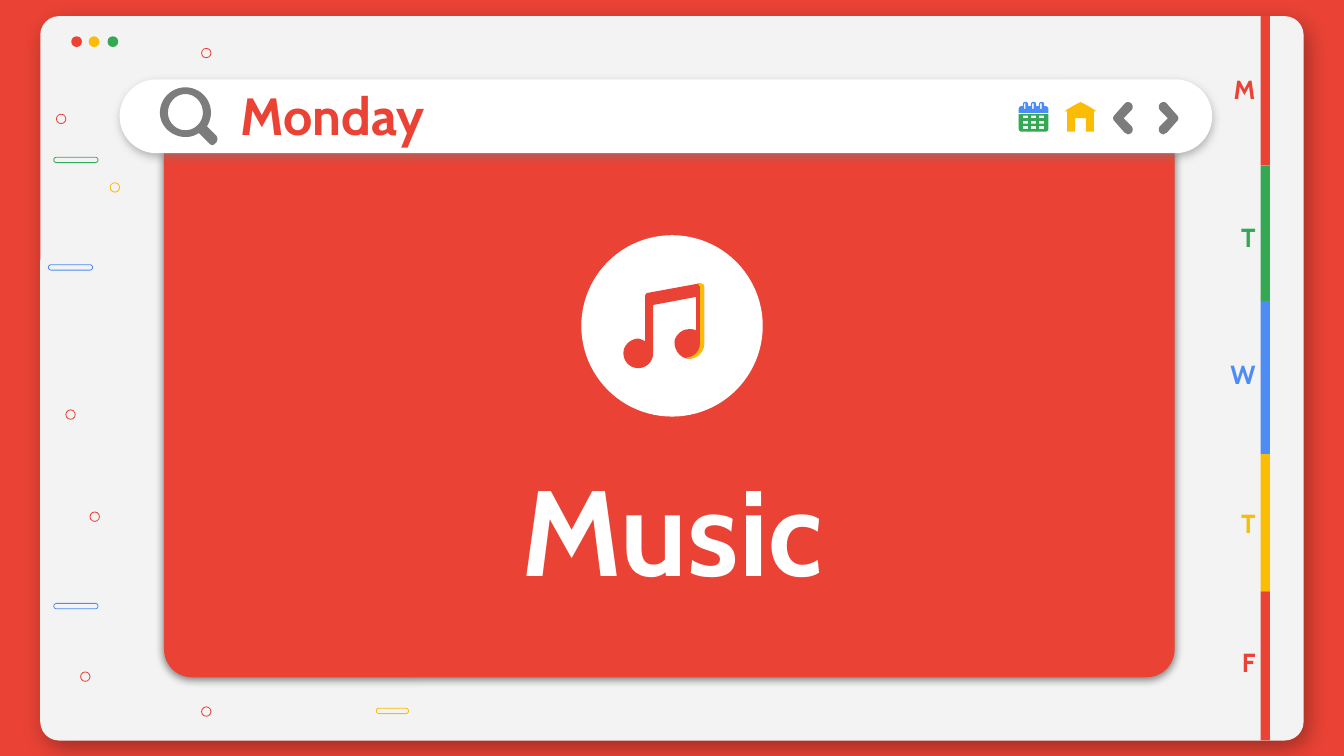
import dataclasses

import pptx
import pptx.dml.color
import pptx.enum.shapes
import pptx.enum.text
import pptx.oxml
import pptx.oxml.ns
import pptx.util

Inches = pptx.util.Inches
Kind = pptx.enum.shapes.MSO_SHAPE
Align = pptx.enum.text.PP_ALIGN


@dataclasses.dataclass(frozen=True)
class Theme:
    red: str = "EA4335"
    green: str = "34A853"
    blue: str = "4D8CF5"
    gold: str = "FBBC05"
    gray: str = "7C7C7C"
    pale: str = "F3F3F3"
    white: str = "FFFFFF"
    black: str = "000000"
    font: str = "Cabin"
    hero: float = 65
    title: float = 28
    tab: float = 14
    hair: float = 0.44


T = Theme()


def rgb(color):
    return pptx.dml.color.RGBColor.from_string(color)


def paint(shape, fill=None, line=None):
    shape.shadow.inherit = False
    if fill:
        shape.fill.solid()
        shape.fill.fore_color.rgb = rgb(fill)
    else:
        shape.fill.background()
    if line:
        shape.line.color.rgb = rgb(line)
        shape.line.width = pptx.util.Pt(T.hair)
    else:
        shape.line.fill.background()


def add_form(slide, kind, box, fill=None, line=None):
    shape = slide.shapes.add_shape(kind, *map(Inches, box))
    paint(shape, fill, line)
    return shape


def add_round(slide, box, radius, fill=None, line=None):
    shape = add_form(slide, Kind.ROUNDED_RECTANGLE, box, fill, line)
    shape.adjustments[0] = radius / min(box[2:])
    return shape


def cast(shape, color, alpha, blur, dist, angle):
    """Add an outer shadow: alpha in percent, lengths in points."""
    xml = (
        f'<a:outerShdw {pptx.oxml.ns.nsdecls("a")} blurRad="{pptx.util.Pt(blur)}" '
        f'dist="{pptx.util.Pt(dist)}" dir="{angle * 60000}" algn="bl" rotWithShape="0">'
        f'<a:srgbClr val="{color}"><a:alpha val="{alpha * 1000}"/></a:srgbClr>'
        "</a:outerShdw>"
    )
    effects = shape._element.spPr.find(pptx.oxml.ns.qn("a:effectLst"))
    effects.append(pptx.oxml.parse_xml(xml))


def add_text(slide, box, text, size, color, align=Align.LEFT):
    frame = slide.shapes.add_textbox(*map(Inches, box)).text_frame
    frame.word_wrap = True
    frame.vertical_anchor = pptx.enum.text.MSO_ANCHOR.MIDDLE
    frame.margin_left = frame.margin_right = Inches(0.1)
    frame.margin_top = frame.margin_bottom = Inches(0.1)
    para = frame.paragraphs[0]
    para.alignment = align
    run = para.add_run()
    run.text = text
    run.font.name = T.font
    run.font.size = pptx.util.Pt(size)
    run.font.bold = True
    run.font.color.rgb = rgb(color)


def trace(steps, count=12):
    """Turn points (x, y) and cubic curves (six numbers) into points."""
    dots = []
    for step in steps:
        if len(step) == 2:
            dots.append(step)
            continue
        ends = [dots[-1], step[:2], step[2:4], step[4:]]
        for i in range(1, count + 1):
            t = i / count
            parts = ((1 - t) ** 3, 3 * t * (1 - t) ** 2, 3 * t * t * (1 - t), t ** 3)
            dots.append(tuple(sum(w * p[k] for w, p in zip(parts, ends)) for k in (0, 1)))
    return [(Inches(x), Inches(y)) for x, y in dots]


def add_path(slide, loops, fill):
    first, *rest = [trace(loop) for loop in loops]
    pen = slide.shapes.build_freeform(*first[0])
    pen.add_line_segments(first[1:])
    for dots in rest:
        pen.move_to(*dots[0])
        pen.add_line_segments(dots[1:])
    paint(pen.convert_to_shape(), fill)


def block(x, y, w, h):
    return [(x, y), (x + w, y), (x + w, y + h), (x, y + h)]


def add_window(slide):
    window = add_round(slide, (0.3, 0.12, 9.4, 5.39), 0.14, T.pale)
    cast(window, T.black, 32, 12.4, 5.2, 57)
    for x, color in ((0.53, T.red), (0.66, T.gold), (0.8, T.green)):
        add_form(slide, Kind.OVAL, (x, 0.27, 0.08, 0.08), color)


def add_decor(slide):
    pills = [(2.8, 5.27, 0.24, T.gold), (0.36, 1.97, 0.33, T.blue),
             (0.4, 4.49, 0.33, T.blue), (0.4, 1.17, 0.33, T.green)]
    for x, y, width, color in pills:
        add_round(slide, (x, y, width, 0.04), 0.02, line=color)
    rings = [(0.67, 3.81, T.red), (0.82, 1.36, T.gold), (0.42, 0.85, T.red), (0.6, 5, T.red),
             (0.49, 3.05, T.red), (1.5, 0.36, T.red), (1.5, 5.26, T.red)]
    for x, y, color in rings:
        add_form(slide, Kind.OVAL, (x, y, 0.07, 0.07), line=color)


def add_lens(slide):
    hole = [(1.38, 0.7), (1.45, 0.7, 1.51, 0.76, 1.51, 0.84), (1.51, 0.91, 1.45, 0.97, 1.38, 0.97),
            (1.31, 0.97, 1.25, 0.91, 1.25, 0.84), (1.25, 0.76, 1.31, 0.7, 1.38, 0.7)]
    rim = [(1.38, 0.65), (1.28, 0.65, 1.19, 0.73, 1.19, 0.84), (1.19, 0.94, 1.28, 1.02, 1.38, 1.02),
           (1.42, 1.02, 1.45, 1.01, 1.48, 0.99), (1.55, 1.06), (1.56, 1.07, 1.57, 1.08, 1.58, 1.08),
           (1.59, 1.08, 1.6, 1.07, 1.61, 1.06), (1.62, 1.05, 1.62, 1.02, 1.61, 1.01), (1.54, 0.94),
           (1.56, 0.91, 1.57, 0.87, 1.57, 0.84), (1.57, 0.73, 1.48, 0.65, 1.38, 0.65)]
    add_path(slide, [rim, hole], T.gray)


def add_note(slide):
    size = 1.35
    add_form(slide, Kind.OVAL, ((10 - size) / 2, 1.75, size, size), T.white)
    note = [(5.2, 2.11), (4.82, 2.18), (4.81, 2.18, 4.8, 2.19, 4.8, 2.21), (4.8, 2.54),
            (4.78, 2.53, 4.76, 2.52, 4.75, 2.52), (4.7, 2.52, 4.65, 2.56, 4.64, 2.61),
            (4.63, 2.68, 4.68, 2.74, 4.75, 2.74), (4.81, 2.74, 4.86, 2.69, 4.86, 2.63),
            (4.86, 2.27), (5.18, 2.21), (5.18, 2.46), (5.16, 2.45, 5.15, 2.45, 5.13, 2.45),
            (5.08, 2.45, 5.04, 2.48, 5.02, 2.53), (5.01, 2.6, 5.06, 2.67, 5.13, 2.67),
            (5.19, 2.66, 5.24, 2.62, 5.24, 2.55), (5.24, 2.14), (5.24, 2.12, 5.23, 2.11, 5.2, 2.11)]
    edge = [(5.19, 2.11), (5.2, 2.12, 5.21, 2.13, 5.21, 2.14), (5.21, 2.55),
            (5.21, 2.61, 5.17, 2.66, 5.11, 2.66), (5.12, 2.67, 5.13, 2.67, 5.13, 2.67),
            (5.19, 2.67, 5.24, 2.62, 5.24, 2.55), (5.24, 2.14), (5.24, 2.12, 5.23, 2.11, 5.21, 2.11)]
    add_path(slide, [note], T.red)
    add_path(slide, [edge], T.gold)


def add_days(slide):
    days = [("M", 0.12, 0.51, T.red), ("T", 1.23, 1.61, T.green), ("W", 2.24, 2.63, T.blue),
            ("T", 3.38, 3.74, T.gold), ("F", 4.4, 4.77, T.red)]
    ends = [day[1] for day in days[1:]] + [5.51]
    for (name, top, y, color), end in zip(days, ends):
        add_form(slide, Kind.RECTANGLE, (9.38, top, 0.07, end - top), color)
        add_text(slide, (8.96, y, 0.48, 0.31), name, T.tab, color, Align.RIGHT)


def add_dates(slide):
    xs = (7.63, 7.69, 7.75)
    # Page with a grid of day cells
    page = [(7.58, 0.85), (7.58, 0.96), (7.58, 0.97, 7.59, 0.98, 7.6, 0.98), (7.78, 0.98),
            (7.79, 0.98, 7.8, 0.97, 7.8, 0.96), (7.8, 0.85)]
    cells = [block(x - 0.02, y, 0.04, 0.02) for y in (0.86, 0.9, 0.94) for x in xs]
    add_path(slide, [page, *cells], T.green)
    # Head with three binder rings
    head = [(7.58, 0.84), (7.58, 0.81), (7.58, 0.8, 7.59, 0.79, 7.6, 0.79)]
    for x in xs:
        head += [(x - 0.02, 0.79), (x - 0.02, 0.78),
                 (x - 0.02, 0.75, x + 0.02, 0.75, x + 0.02, 0.78), (x + 0.02, 0.79)]
    head += [(7.78, 0.79), (7.79, 0.79, 7.8, 0.8, 7.8, 0.81), (7.8, 0.84)]
    slots = [block(x - 0.01, 0.77, 0.01, 0.04) for x in xs]
    add_path(slide, [head, *slots], T.blue)


def add_house(slide):
    house = [(8.04, 0.76), (8, 0.78, 7.96, 0.8, 7.92, 0.83), (7.94, 0.83), (7.94, 0.98), (8, 0.98),
             (8, 0.88), (8.08, 0.88), (8.08, 0.98), (8.14, 0.98), (8.14, 0.83), (8.16, 0.83),
             (8.12, 0.8, 8.08, 0.78, 8.04, 0.76)]
    add_path(slide, [house], T.gold)


def add_arrows(slide):
    right = [(8.66, 0.76), (8.63, 0.76, 8.61, 0.79, 8.63, 0.82), (8.69, 0.88), (8.63, 0.94),
             (8.61, 0.97, 8.63, 1, 8.66, 1), (8.66, 1, 8.67, 0.99, 8.68, 0.99), (8.76, 0.9),
             (8.77, 0.89, 8.77, 0.87, 8.76, 0.86), (8.68, 0.77), (8.67, 0.76, 8.66, 0.76, 8.66, 0.76)]
    # Mirror every x about the midline between the two arrows
    left = [tuple(17.05 - v if i % 2 == 0 else v for i, v in enumerate(step)) for step in right]
    for arrow in (right, left):
        add_path(slide, [arrow], T.gray)


def main():
    deck = pptx.Presentation()
    deck.slide_width, deck.slide_height = Inches(10), Inches(10 * 9 / 16)
    slide = deck.slides.add_slide(deck.slide_layouts[6])
    slide.background.fill.solid()
    slide.background.fill.fore_color.rgb = rgb(T.red)

    # Browser frame
    add_window(slide)
    add_decor(slide)

    # Main panel and search bar
    panel = add_round(slide, (1.22, 0.96, 7.52, 4.08), 0.21, T.red)
    cast(panel, T.black, 50, 4.5, 1.5, 90)
    bar = add_round(slide, (0.89, 0.59, 8.13, 0.55), 0.28, T.white)
    cast(bar, T.gray, 50, 4.5, 1.5, 90)
    add_lens(slide)
    add_text(slide, (1.69, 0.59, 7.09, 0.52), "Monday", T.title, T.red)

    # Subject
    add_note(slide)
    add_text(slide, (1.77, 3.13, 6.46, 1.6), "Music", T.hero, T.white, Align.CENTER)

    # Day tabs and bar icons
    add_days(slide)
    add_dates(slide)
    add_house(slide)
    add_arrows(slide)
    deck.save("out.pptx")


if __name__ == "__main__":
    main()
